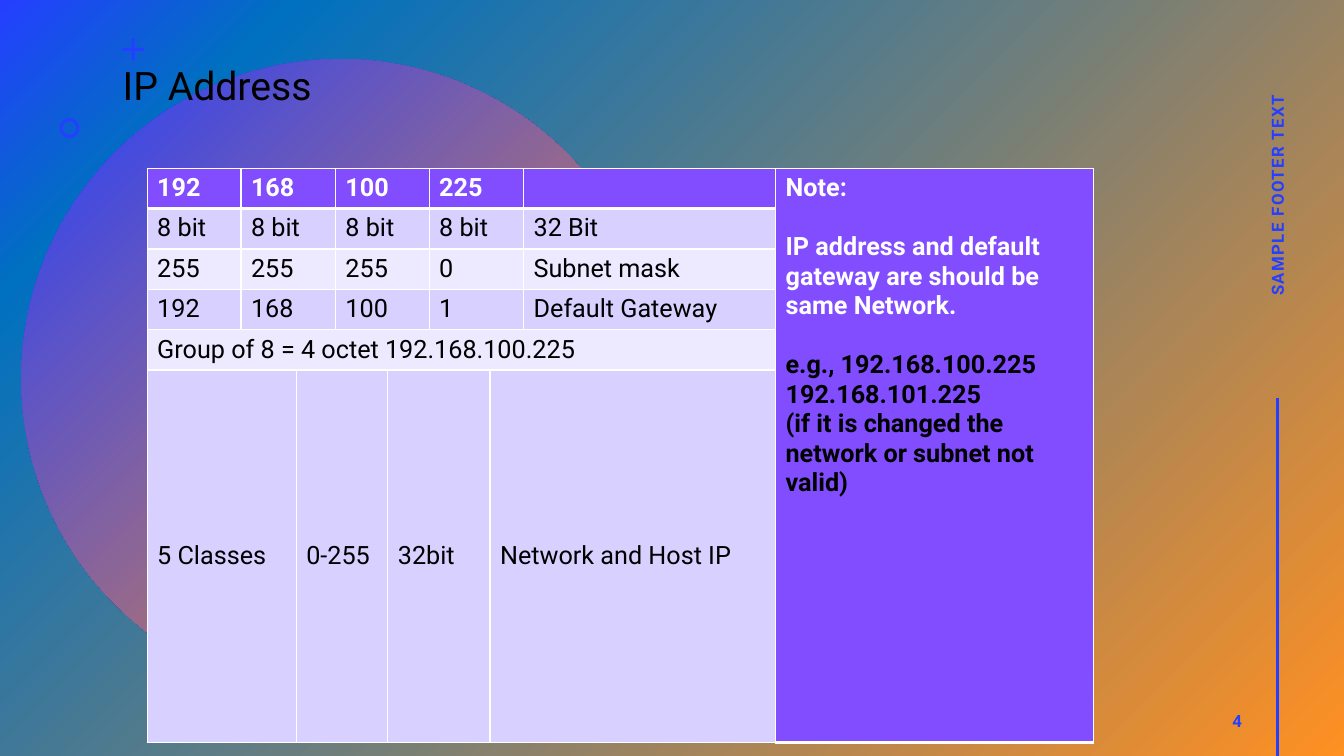
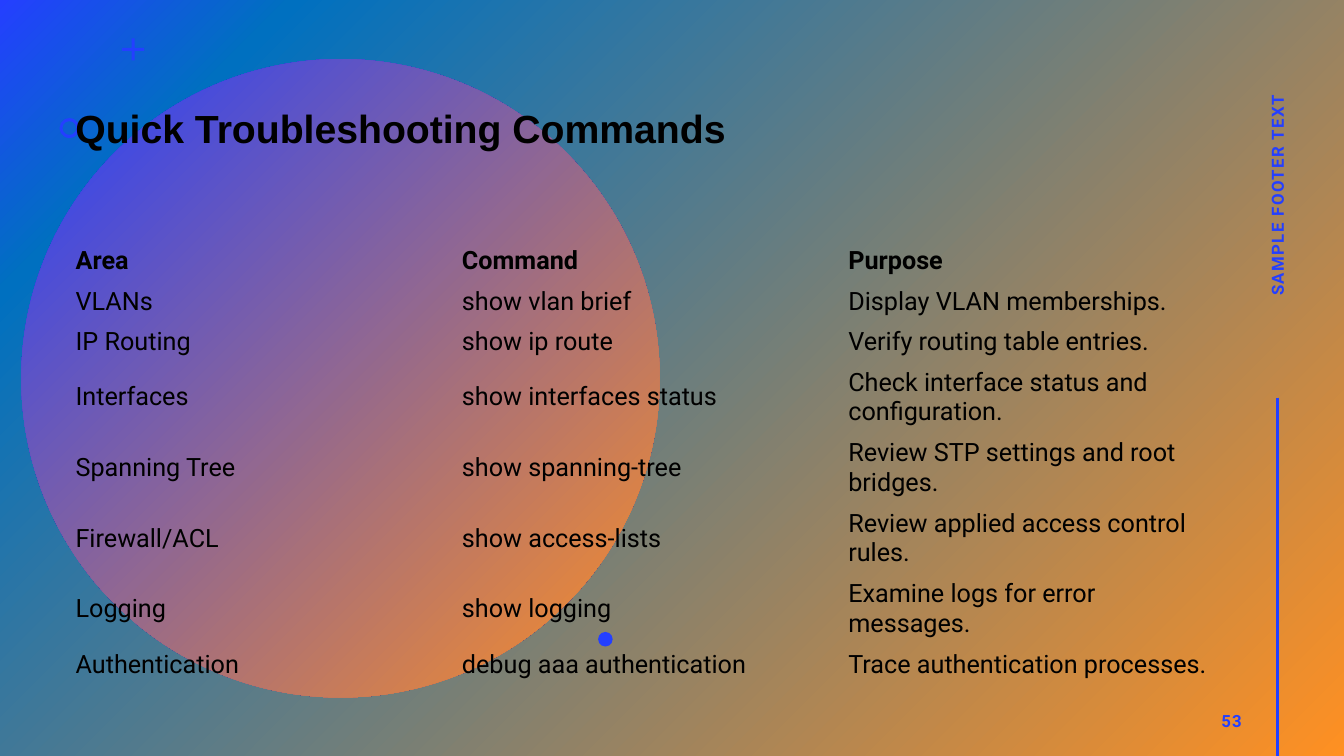
from copy import deepcopy

from pptx import Presentation
from pptx.dml.color import RGBColor
from pptx.enum.shapes import MSO_CONNECTOR, MSO_SHAPE
from pptx.enum.text import MSO_ANCHOR, PP_ALIGN
from pptx.oxml.ns import qn
from pptx.oxml.xmlchemy import OxmlElement
from pptx.util import Pt

# Content
ADDRESS = {
    "title": "IP Address",
    "number": "4",
    "rows": [
        ["192", "168", "100", "225", ""],
        ["8 bit", "8 bit", "8 bit", "8 bit", "32 Bit"],
        ["255", "255", "255", "0", "Subnet mask"],
        ["192", "168", "100", "1", "Default Gateway"],
        ["Group of 8 = 4 octet 192.168.100.225"],
        ["5 Classes", "0-255", "32bit", "Network and Host IP"],
    ],
    # text, colour, space before
    "note": [
        ("Note:", "white", 0),
        ("IP address and default gateway are should be same Network.", "white", 21),
        ("e.g., 192.168.100.225", "black", 21),
        ("192.168.101.225", "black", 0),
        ("(if it is changed the network or subnet not valid)", "black", 0),
    ],
}
COMMANDS = {
    "title": "Quick Troubleshooting Commands",
    "number": "53",
    "rows": [
        ("Area", "Command", "Purpose"),
        ("VLANs", "show vlan brief", "Display VLAN memberships."),
        ("IP Routing", "show ip route", "Verify routing table entries."),
        ("Interfaces", "show interfaces status", "Check interface status and configuration."),
        ("Spanning Tree", "show spanning-tree", "Review STP settings and root bridges."),
        ("Firewall/ACL", "show access-lists", "Review applied access control rules."),
        ("Logging", "show logging", "Examine logs for error messages."),
        ("Authentication", "debug aaa authentication", "Trace authentication processes."),
    ],
}
FOOTER = "SAMPLE FOOTER TEXT"

# Shared look
COLORS = {
    "blue": "243FFF", "azure": "0070C0", "orange": "FF9022", "violet": "814DFF",
    "lilac": "D8D0FF", "pale": "EDE9FF", "white": "FFFFFF", "black": "000000",
}
BODY_FONT = "Roboto"
BACKGROUND_STOPS = [(0, "blue"), (0.14, "azure"), (1, "orange")]
CIRCLE_STOPS = [(0, "blue"), (1, "orange")]
# preset, left, top, size, adjustment
ORNAMENTS = [
    (MSO_SHAPE.CROSS, 87.3, 27.5, 15.6, 0.43),
    (MSO_SHAPE.OVAL, 427.2, 451.4, 10.4, None),
    (MSO_SHAPE.DONUT, 42.5, 84.4, 14.2, 0.15),
]

# Table geometry
SPANS = {5: (1, 2, 2, 2, 1), 1: (8,), 4: (2, 2, 2, 2)}  # by number of texts in a row
ADDRESS_COLUMNS = [67, 39.5, 28, 37.5, 29.5, 43.5, 24, 180, 227]
ADDRESS_HEIGHTS = [28.7] * 5 + [266]
ADDRESS_FILLS = ["violet", "lilac", "pale", "lilac", "pale", "lilac"]
COMMAND_COLUMNS = [276] * 3
COMMAND_HEIGHTS = [28.3] * 3 + [49.3] * 4 + [28.3]
PLAIN_TABLE_STYLE = "{2D5ABB26-0587-4C30-8999-92F81FD0307C}"


def rgb(name):
    return RGBColor.from_string(COLORS[name])


def style_paragraph(paragraph, size, color, bold=False, font=BODY_FONT, spacing=None):
    for run in paragraph.runs:
        run.font.name = font
        run.font.size = Pt(size)
        run.font.bold = bold
        run.font.color.rgb = rgb(color)
        if spacing:
            run.font._element.set("spc", str(spacing * 100))


def add_text(slide, text, box, size, color, align=PP_ALIGN.LEFT,
             anchor=MSO_ANCHOR.MIDDLE, wrap=True, **style):
    shape = slide.shapes.add_textbox(*map(Pt, box))
    frame = shape.text_frame
    frame.word_wrap = wrap
    frame.vertical_anchor = anchor
    frame.text = text
    frame.paragraphs[0].alignment = align
    style_paragraph(frame.paragraphs[0], size, color, **style)
    return shape


def set_gradient(fill, element, stops):
    fill.gradient()
    fill.gradient_angle = 315
    stop_list = element.find(f".//{qn('a:gsLst')}")
    while len(stop_list) < len(stops):
        stop_list.append(deepcopy(stop_list[0]))
    for stop, (position, color) in zip(fill.gradient_stops, stops):
        stop.position = position
        stop.color.rgb = rgb(color)


def add_preset(slide, preset, left, top, size):
    shape = slide.shapes.add_shape(preset, Pt(left), Pt(top), Pt(size), Pt(size))
    shape.shadow.inherit = False
    shape.line.fill.background()
    return shape


def new_slide(presentation, number):
    slide = presentation.slides.add_slide(presentation.slide_layouts[6])
    set_gradient(slide.background.fill, slide.element, BACKGROUND_STOPS)

    # Side line
    line = slide.shapes.add_connector(
        MSO_CONNECTOR.STRAIGHT, Pt(912.3), Pt(284), Pt(912.3), Pt(540))
    line.line.color.rgb = rgb("blue")
    line.line.width = Pt(2)
    line.element.spPr.append(OxmlElement("a:effectLst"))

    # Circle and small ornaments
    circle = add_preset(slide, MSO_SHAPE.OVAL, 15.2, 42.2, 456)
    set_gradient(circle.fill, circle.element, CIRCLE_STOPS)
    for preset, left, top, size, adjustment in ORNAMENTS:
        ornament = add_preset(slide, preset, left, top, size)
        ornament.fill.solid()
        ornament.fill.fore_color.rgb = rgb("blue")
        if adjustment is not None:
            ornament.adjustments[0] = adjustment

    # Footer and slide number
    label = {"size": 12, "color": "blue", "bold": True, "spacing": 1}
    footer = add_text(slide, FOOTER, (772.6, 125.3, 279.4, 28.8),
                      align=PP_ALIGN.CENTER, **label)
    footer.rotation = 270
    add_text(slide, number, (678.2, 500.4, 216, 28.8), align=PP_ALIGN.RIGHT, **label)
    return slide


def add_plain_table(slide, left, top, columns, heights):
    frame = slide.shapes.add_table(
        len(heights), len(columns), Pt(left), Pt(top), Pt(sum(columns)), Pt(sum(heights)))
    frame.element.find(f".//{qn('a:tableStyleId')}").text = PLAIN_TABLE_STYLE
    table = frame.table
    table.first_row = table.horz_banding = False
    for column, width in zip(table.columns, columns):
        column.width = Pt(width)
    for row, height in zip(table.rows, heights):
        row.height = Pt(height)
    return table


def set_borders(cell, top=1, bottom=1):
    properties = cell._tc.get_or_add_tcPr()
    for side, width in (("L", 1), ("R", 1), ("T", top), ("B", bottom)):
        border = OxmlElement(f"a:ln{side}")
        border.set("w", str(Pt(width)))
        fill = OxmlElement("a:solidFill")
        color = OxmlElement("a:srgbClr")
        color.set("val", COLORS["white"])
        fill.append(color)
        border.append(fill)
        properties.append(border)


def fill_cell(cell, color):
    cell.fill.solid()
    cell.fill.fore_color.rgb = rgb(color)


def build_address(presentation):
    slide = new_slide(presentation, ADDRESS["number"])
    add_text(slide, ADDRESS["title"], (80.6, 40.3, 636.5, 108.7), 28, "black",
             anchor=MSO_ANCHOR.TOP)
    table = add_plain_table(slide, 105.1, 120.2, ADDRESS_COLUMNS, ADDRESS_HEIGHTS)
    last_row = len(ADDRESS["rows"]) - 1

    # Address cells
    for row, texts in enumerate(ADDRESS["rows"]):
        header = row == 0
        column = 0
        for text, span in zip(texts, SPANS[len(texts)]):
            cell = table.cell(row, column)
            if span > 1:
                cell.merge(table.cell(row, column + span - 1))
            set_borders(cell, top=3 if row == 1 else 1, bottom=3 if header else 1)
            fill_cell(cell, ADDRESS_FILLS[row])
            cell.text_frame.text = text
            style_paragraph(cell.text_frame.paragraphs[0], 18,
                            "white" if header else "black", bold=header)
            if row == last_row:
                cell.vertical_anchor = MSO_ANCHOR.MIDDLE
            column += span

    # Note column
    note_column = len(ADDRESS_COLUMNS) - 1
    note = table.cell(0, note_column)
    note.merge(table.cell(last_row, note_column))
    set_borders(note, bottom=3)
    fill_cell(note, "violet")
    note.text_frame.text = "\n".join(text for text, _, _ in ADDRESS["note"])
    for paragraph, (_, color, gap) in zip(note.text_frame.paragraphs, ADDRESS["note"]):
        if gap:
            paragraph.space_before = Pt(gap)
        style_paragraph(paragraph, 18, color, bold=True)


def build_commands(presentation):
    slide = new_slide(presentation, COMMANDS["number"])
    table = add_plain_table(slide, 46.8, 172.1, COMMAND_COLUMNS, COMMAND_HEIGHTS)
    for row, texts in enumerate(COMMANDS["rows"]):
        for column, text in enumerate(texts):
            cell = table.cell(row, column)
            cell.fill.background()
            cell.vertical_anchor = MSO_ANCHOR.MIDDLE
            cell.text_frame.text = text
            style_paragraph(cell.text_frame.paragraphs[0], 18, "black", bold=row == 0)
    add_text(slide, COMMANDS["title"], (46.8, 69.8, 484.6, 43), 28, "black",
             wrap=False, bold=True, font="Arial")


def main():
    presentation = Presentation()
    presentation.slide_width = Pt(960)
    presentation.slide_height = Pt(540)
    build_address(presentation)
    build_commands(presentation)
    presentation.save("out.pptx")


if __name__ == "__main__":
    main()
